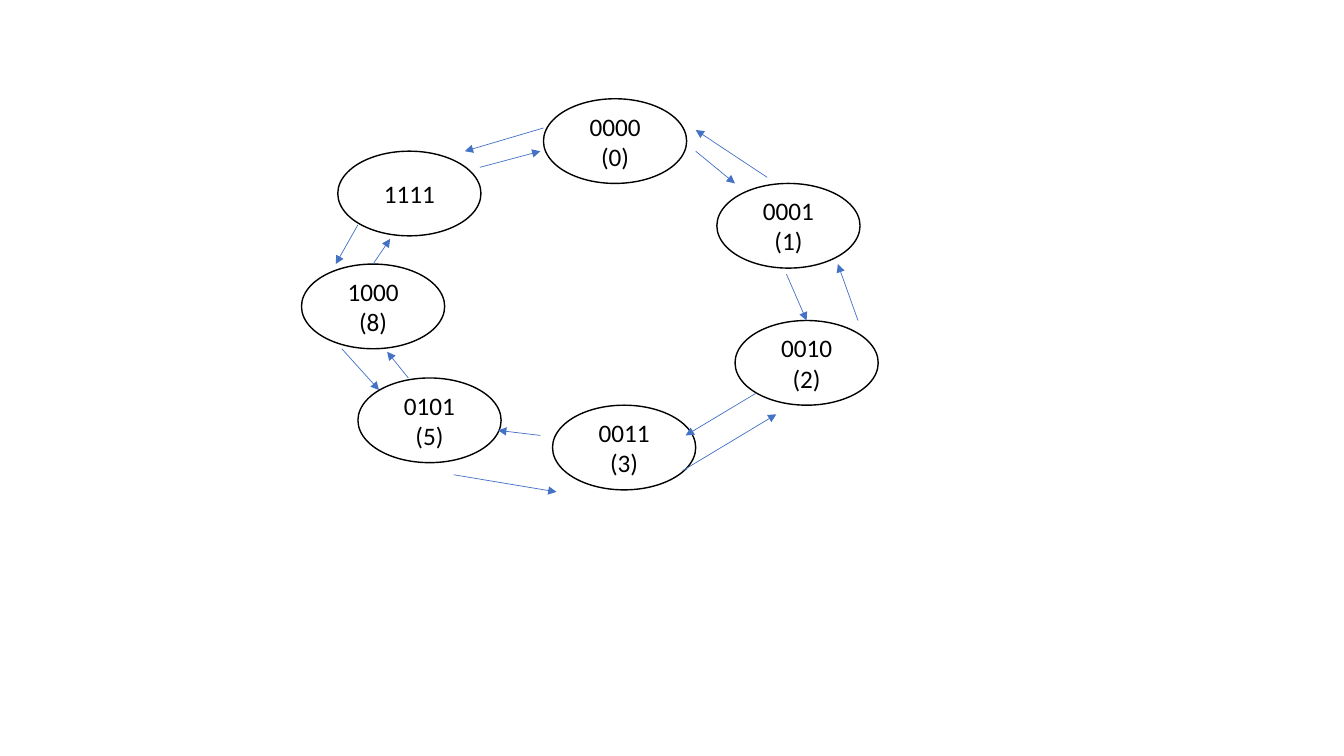
from lxml import etree
from pptx import Presentation
from pptx.dml.color import RGBColor
from pptx.enum.shapes import MSO_CONNECTOR, MSO_SHAPE
from pptx.enum.text import MSO_ANCHOR, PP_ALIGN
from pptx.oxml.ns import qn
from pptx.util import Inches, Pt

ELLIPSE = MSO_SHAPE.OVAL
STRAIGHT = MSO_CONNECTOR.STRAIGHT
MIDDLE = MSO_ANCHOR.MIDDLE
CENTER = PP_ALIGN.CENTER

WHITE = RGBColor(0xFF, 0xFF, 0xFF)
BLACK = RGBColor(0x00, 0x00, 0x00)
BLUE = RGBColor(0x44, 0x72, 0xC4)

NODE_WIDTH, NODE_HEIGHT = 1.42, 0.84

NODES = [
    (5.39, 0.98, ["0000 (0)"]),
    (7.11, 1.82, ["0001", "(1)"]),
    (7.29, 3.18, ["0010", "(2)"]),
    (5.48, 4.02, ["0011", "(3)"]),
    (3.55, 3.75, ["0101", "(5)"]),
    (3.35, 1.5, ["1111"]),
    (2.99, 2.62, ["1000", "(8)"]),
]

SUCCESSOR_LINKS = [
    ((6.9, 1.5), (7.29, 1.82)),
    ((7.8, 2.72), (8, 3.18)),
    ((7.5, 3.9), (6.8, 4.32)),
    ((5.36, 4.32), (4.94, 4.27)),
    ((4.05, 3.75), (3.84, 3.49)),
    ((3.7, 2.62), (3.87, 2.37)),
    ((4.76, 1.66), (5.36, 1.5)),
]

PREDECESSOR_LINKS = [
    ((7.61, 1.76), (6.9, 1.29)),
    ((8.51, 3.18), (8.31, 2.62)),
    ((6.77, 4.67), (7.7, 4.11)),
    ((4.5, 4.71), (5.52, 4.88)),
    ((3.39, 3.46), (3.76, 3.87)),
    ((3.55, 2.23), (3.33, 2.62)),
    ((5.39, 1.27), (4.61, 1.5)),
]


def write_text(frame, lines, size=18, font="Calibri", color=BLACK, align=CENTER):
    """Write one formatted paragraph per line into a text frame."""
    frame.word_wrap = True
    frame.vertical_anchor = MIDDLE
    for index, line in enumerate(lines):
        paragraph = frame.add_paragraph() if index else frame.paragraphs[0]
        paragraph.alignment = align
        run = paragraph.add_run()
        run.text = line
        run.font.size = Pt(size)
        run.font.name = font
        run.font.color.rgb = color


def add_node(slide, left, top, label):
    """Draw one ring node with its identifier."""
    node = slide.shapes.add_shape(
        ELLIPSE, Inches(left), Inches(top), Inches(NODE_WIDTH), Inches(NODE_HEIGHT)
    )
    node.shadow.inherit = False
    node.fill.solid()
    node.fill.fore_color.rgb = WHITE
    node.line.color.rgb = BLACK
    node.line.width = Pt(1)
    write_text(node.text_frame, label)


def add_link(slide, start, end):
    """Draw a thin arrow from start to end."""
    link = slide.shapes.add_connector(
        STRAIGHT, *(Inches(value) for value in (*start, *end))
    )
    link.line.color.rgb = BLUE
    link.line.width = Pt(0.5)
    properties = link.element.spPr
    outline = properties.find(qn("a:ln"))
    etree.SubElement(outline, qn("a:tailEnd"), type="triangle")
    etree.SubElement(properties, qn("a:effectLst"))


def main():
    """Build the node ring slide and save it."""
    deck = Presentation()
    deck.slide_width = Inches(13.33)
    deck.slide_height = Inches(7.5)
    slide = deck.slides.add_slide(deck.slide_layouts[6])
    for left, top, label in NODES:
        add_node(slide, left, top, label)
    for start, end in SUCCESSOR_LINKS + PREDECESSOR_LINKS:
        add_link(slide, start, end)
    deck.save("out.pptx")


main()
